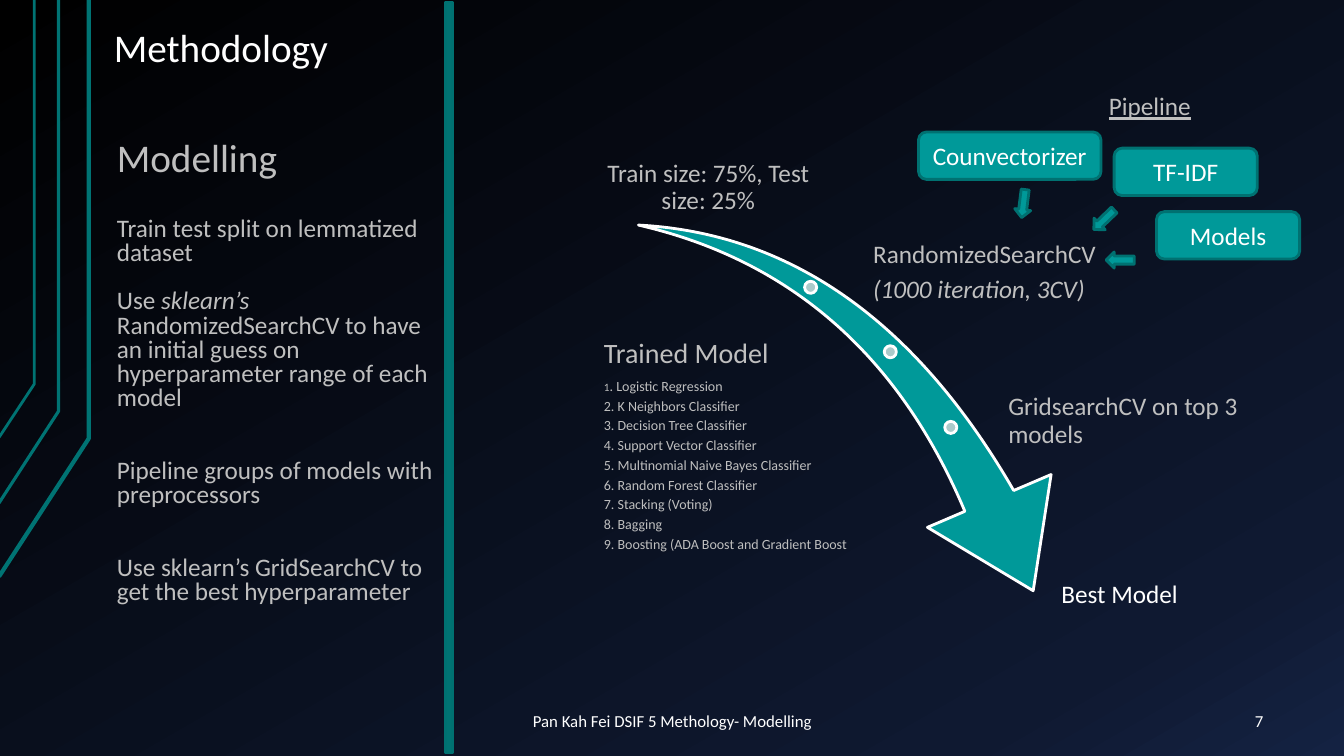
from copy import deepcopy
from dataclasses import dataclass
from typing import NamedTuple

from pptx import Presentation
from pptx.dml.color import RGBColor
from pptx.enum.shapes import MSO_SHAPE as Preset
from pptx.enum.text import MSO_ANCHOR as Anchor, PP_ALIGN as Align
from pptx.oxml.ns import qn
from pptx.shapes.autoshape import Shape
from pptx.slide import Slide
from pptx.text.text import TextFrame
from pptx.util import Inches, Length, Pt

WIDTH, HEIGHT = Inches(13.33), Inches(7.5)
COLUMNS, ROWS = 133.3, 75


@dataclass(frozen=True)
class Theme:
    """Colours, type sizes and line widths of the slide."""
    font: str = "Calibri"
    white: str = "FFFFFF"
    grey: str = "BFBFBF"
    teal: str = "009999"
    edge: str = "007171"
    trace: str = "007373"
    dot: str = "ABCACA"
    background: tuple = ((0, "000000"), (0.85, "0F1931"), (1, "142242"))
    background_angle: int = 300
    title: int = 28
    heading: int = 20
    body: int = 18
    footer: int = 12
    detail: int = 10
    tiny: int = 8
    outline: float = 2


THEME = Theme()


class Box(NamedTuple):
    """A frame in grid columns and rows."""
    left: float
    top: float
    width: float
    height: float


class Run(NamedTuple):
    """Words with their own style."""
    text: str
    italic: bool = False
    underline: bool = False
    size: int = 0


class Para(NamedTuple):
    """A paragraph and the space around it, in points."""
    runs: tuple[Run, ...]
    size: int = THEME.body
    before: float = 0
    after: float = 0


class Style(NamedTuple):
    """How a block of text sits in its frame."""
    color: str = THEME.grey
    align: Align = Align.LEFT
    anchor: Anchor = Anchor.MIDDLE
    inset: tuple[float, float] = (0.1, 0.05)
    spacing: float = 1.0


class Figure(NamedTuple):
    """A preset shape with its colours and turn."""
    preset: Preset
    box: Box
    fill: str = THEME.teal
    line: str = THEME.edge
    rotation: float = 0
    adjustments: tuple[float, ...] = ()
    label: str = ""


PLACEHOLDER = Style(inset=(0.13, 0.07))
STEP = Style(inset=(0.03, 0.03), spacing=0.9)
LABEL = Style(color=THEME.white, align=Align.CENTER)


def x(columns: float) -> Length:
    """Turn columns into a length."""
    return Length(round(WIDTH * columns / COLUMNS))


def y(rows: float) -> Length:
    """Turn rows into a length."""
    return Length(round(HEIGHT * rows / ROWS))


def frame(box: Box) -> tuple[Length, Length, Length, Length]:
    """Turn a grid box into lengths."""
    return x(box.left), y(box.top), x(box.width), y(box.height)


def plain(text: str, size: int = THEME.body, before: float = 0, after: float = 0) -> Para:
    """Make a paragraph of one unstyled run."""
    return Para((Run(text),), size, before, after)


def step(text: str, size: int = THEME.body, italic: bool = False) -> Para:
    """Make a diagram paragraph, followed by a third of its type size."""
    return Para((Run(text, italic),), size, after=round(size * 0.33, 1))


def write(text_frame: TextFrame, paragraphs: list[Para], style: Style) -> None:
    """Fill a text frame with styled paragraphs."""
    text_frame.word_wrap = True
    text_frame.vertical_anchor = style.anchor
    text_frame.margin_left = text_frame.margin_right = Inches(style.inset[0])
    text_frame.margin_top = text_frame.margin_bottom = Inches(style.inset[1])
    for index, para in enumerate(paragraphs):
        paragraph = text_frame.add_paragraph() if index else text_frame.paragraphs[0]
        paragraph.alignment = style.align
        paragraph.line_spacing = style.spacing
        paragraph.space_before, paragraph.space_after = Pt(para.before), Pt(para.after)
        paragraph.font.name, paragraph.font.size = THEME.font, Pt(para.size)
        paragraph.font.color.rgb = RGBColor.from_string(style.color)
        for part in para.runs:
            run = paragraph.add_run()
            run.text = part.text
            run.font.italic = part.italic or None
            run.font.underline = part.underline or None
            run.font.size = Pt(part.size) if part.size else None


def add_text(slide: Slide, box: Box, paragraphs: list[Para], style: Style) -> None:
    """Add a text box."""
    write(slide.shapes.add_textbox(*frame(box)).text_frame, paragraphs, style)


def outline(shape: Shape, color: str, width: float = THEME.outline) -> None:
    """Set the line of a shape and drop its shadow."""
    shape.shadow.inherit = False
    shape.line.color.rgb = RGBColor.from_string(color)
    shape.line.width = Pt(width)


def add_figure(slide: Slide, figure: Figure) -> None:
    """Add a preset shape, with its label if it has one."""
    shape = slide.shapes.add_shape(figure.preset, *frame(figure.box))
    shape.fill.solid()
    shape.fill.fore_color.rgb = RGBColor.from_string(figure.fill)
    outline(shape, figure.line)
    shape.rotation = figure.rotation
    for index, value in enumerate(figure.adjustments):
        shape.adjustments[index] = value
    if figure.label:
        write(shape.text_frame, [plain(figure.label)], LABEL)


def add_trace(slide: Slide, right: float, bend: float, end: float, width: float) -> None:
    """Add a circuit trace from the left edge, bending up to the top."""
    builder = slide.shapes.build_freeform(x(-0.1), y(end))
    builder.add_line_segments([(x(right), y(bend)), (x(right), 0)], close=False)
    shape = builder.convert_to_shape()
    shape.fill.background()
    outline(shape, THEME.trace, width)


def paint_background(slide: Slide) -> None:
    """Fill the background with the theme's gradient."""
    fill = slide.background.fill
    fill.gradient()
    fill.gradient_angle = THEME.background_angle
    stop_list = next(slide.element.iter(qn("a:gsLst")))
    stop_list.append(deepcopy(stop_list[-1]))
    for stop, (position, color) in zip(fill.gradient_stops, THEME.background):
        stop.position = position
        stop.color.rgb = RGBColor.from_string(color)


TRACES = [(8.8, 43.5, 57.2, 3), (5.8, 40.8, 49.9, 2.25), (3.4, 38.1, 43.4, 2)]
DOTS = [(79.8, 27.9), (87.7, 34.3), (93.7, 41.8)]
PIPELINE = [("Counvectorizer", Box(91.1, 13.1, 18.1, 4.7)),
            ("TF-IDF", Box(110.5, 14.7, 14.2, 4.7)),
            ("Models", Box(114.7, 21, 14.2, 4.7))]
POINTERS = [(100.1, 19.4, 97.1), (108.1, 21, 136.2), (109.7, 25, 180)]
MODELS = ["K Neighbors Classifier", "Decision Tree Classifier",
          "Support Vector Classifier", "Multinomial Naive Bayes Classifier",
          "Random Forest Classifier", "Stacking (Voting)", "Bagging",
          "Boosting (ADA Boost and Gradient Boost"]
GAP = 17.4

MODELLING = [
    plain("Modelling", THEME.title),
    plain("Train test split on lemmatized dataset", before=27),
    Para((Run("Use "), Run("sklearn’s", italic=True),
          Run(" RandomizedSearchCV to have an initial guess on "
              "hyperparameter range of each model")), before=GAP),
    plain("Pipeline groups of models with preprocessors", before=2 * GAP),
    plain("Use sklearn’s GridSearchCV to get the best hyperparameter", before=2 * GAP)]
FIRST_MODEL = step("", THEME.detail)._replace(
    runs=(Run("1", size=THEME.tiny), Run(". Logistic Regression")))
TRAINED = [step("Trained Model", THEME.heading), FIRST_MODEL] + [
    step(f"{number}. {name}", THEME.detail) for number, name in enumerate(MODELS, 2)]

FOOTER = PLACEHOLDER._replace(color=THEME.white)
TEXTS = [
    (Box(37.8, 69.5, 57.8, 4),
     [plain("Pan Kah Fei DSIF 5 Methology- Modelling", THEME.footer)],
     FOOTER._replace(align=Align.CENTER)),
    (Box(115.5, 69.5, 11.1, 4), [plain("7", THEME.footer)],
     FOOTER._replace(align=Align.RIGHT)),
    (Box(10.3, 14.7, 34.6, 46.1), MODELLING,
     PLACEHOLDER._replace(anchor=Anchor.BOTTOM, spacing=0.8)),
    (Box(59.4, 13.1, 21.7, 8.5), [step("Train size: 75%, Test size: 25%")],
     STEP._replace(align=Align.CENTER, anchor=Anchor.BOTTOM)),
    (Box(86.3, 22.8, 31.7, 8.5),
     [step("RandomizedSearchCV"), step("(1000 iteration, 3CV)", italic=True)], STEP),
    (Box(59.6, 40, 25.2, 8.5), TRAINED, STEP),
    (Box(99.7, 38.3, 28.5, 7), [step("GridsearchCV on top 3 models")], STEP),
    (Box(96.4, 57.4, 29.3, 8.5), [step("Best Model")],
     STEP._replace(color=THEME.white, align=Align.CENTER, anchor=Anchor.TOP)),
    (Box(109, 8.5, 15.7, 4), [Para((Run("Pipeline", underline=True),))],
     Style(anchor=Anchor.TOP)),
    (Box(10, 1, 97.8, 6.7), [plain("Methodology", THEME.title)],
     FOOTER._replace(anchor=Anchor.BOTTOM, spacing=0.9))]

FIGURES = [
    Figure(Preset.SWOOSH_ARROW, Box(62.3, 23.7, 46, 32.1), line=THEME.white,
           rotation=73.3, adjustments=(0.163, 0.314)),
    *(Figure(Preset.OVAL, Box(*dot, 1.2, 1.2), THEME.dot, THEME.white) for dot in DOTS),
    *(Figure(Preset.ROUNDED_RECTANGLE, box, label=name) for name, box in PIPELINE),
    *(Figure(Preset.RIGHT_ARROW, Box(left, top, 2.8, 1.6), rotation=turn)
      for left, top, turn in POINTERS),
    Figure(Preset.RECTANGLE, Box(44.2, 0.2, 0.7, 74.5), THEME.trace)]


def main() -> None:
    """Build the slide and save it."""
    presentation = Presentation()
    presentation.slide_width, presentation.slide_height = WIDTH, HEIGHT
    slide = presentation.slides.add_slide(presentation.slide_layouts[6])
    paint_background(slide)
    for trace in TRACES:
        add_trace(slide, *trace)
    for figure in FIGURES:
        add_figure(slide, figure)
    for box, paragraphs, style in TEXTS:
        add_text(slide, box, paragraphs, style)
    presentation.save("out.pptx")


main()
